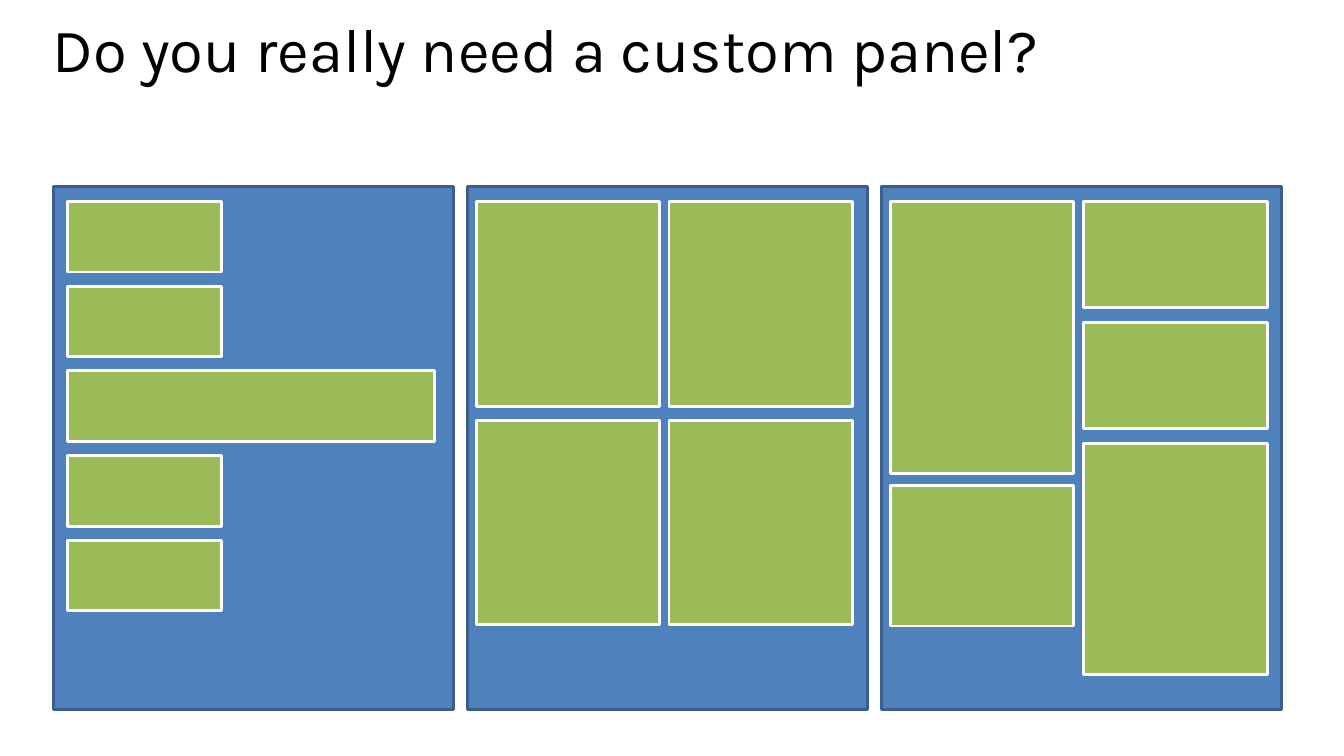
"""Build a slide comparing three panel layouts: list, grid and staggered."""
from pptx import Presentation
from pptx.dml.color import RGBColor
from pptx.enum.shapes import MSO_SHAPE
from pptx.enum.text import MSO_ANCHOR, PP_ALIGN
from pptx.util import Inches, Pt

COLORS = {
    "panel": "4F81BD",
    "panel_edge": "3A5F8C",
    "item": "9BBB59",
    "item_edge": "FFFFFF",
    "title": "000000",
}
PANEL_LEFT, PANEL_TOP, PANEL_WIDTH, PANEL_HEIGHT = 0.53, 1.85, 3.97, 5.19
PANEL_GAP = 0.135
ITEM_TOP = 2.0
NARROW, WIDE, TILE = 1.53, 3.64, 1.82

prs = Presentation()
prs.slide_width, prs.slide_height = Inches(13.33), Inches(7.5)
slide = prs.slides.add_slide(prs.slide_layouts[5])


def add_box(kind, left, top, width, height):
    """Draw a rectangle in the colours of a panel or an item."""
    box = slide.shapes.add_shape(
        MSO_SHAPE.RECTANGLE, Inches(left), Inches(top), Inches(width), Inches(height))
    box.shadow.inherit = False
    box.fill.solid()
    box.fill.fore_color.rgb = RGBColor.from_string(COLORS[kind])
    box.line.color.rgb = RGBColor.from_string(COLORS[kind + "_edge"])
    box.line.width = Pt(2)


question = slide.shapes.title
question.left, question.top = Inches(0.42), Inches(0.2)
question.width, question.height = Inches(12.6), Inches(1.16)
question.text_frame.text = "Do you really need a custom panel?"
question.text_frame.word_wrap = True
question.text_frame.vertical_anchor = MSO_ANCHOR.TOP
heading = question.text_frame.paragraphs[0]
heading.alignment = PP_ALIGN.LEFT
heading.line_spacing = 0.8
heading_font = heading.runs[0].font
heading_font.name = "Karla"
heading_font.size = Pt(44)
heading_font.color.rgb = RGBColor.from_string(COLORS["title"])

# Each stack is (inset from the panel, gap between items, item sizes).
list_panel = [(0.14, 0.14, [(width, 0.7) for width in (NARROW, NARROW, WIDE, NARROW, NARROW)])]
grid_panel = [(inset, 0.14, [(TILE, 2.03)] * 2) for inset in (0.09, 2.0)]
staggered_panel = [
    (0.09, 0.12, [(TILE, 2.7), (TILE, 1.39)]),
    (2.01, 0.15, [(TILE, 1.05), (TILE, 1.05), (TILE, 2.29)]),
]

for column, stacks in enumerate((list_panel, grid_panel, staggered_panel)):
    panel_left = PANEL_LEFT + column * (PANEL_WIDTH + PANEL_GAP)
    add_box("panel", panel_left, PANEL_TOP, PANEL_WIDTH, PANEL_HEIGHT)
    for inset, gap, sizes in stacks:
        top = ITEM_TOP
        for width, height in sizes:
            add_box("item", panel_left + inset, top, width, height)
            top += height + gap

prs.save("out.pptx")
